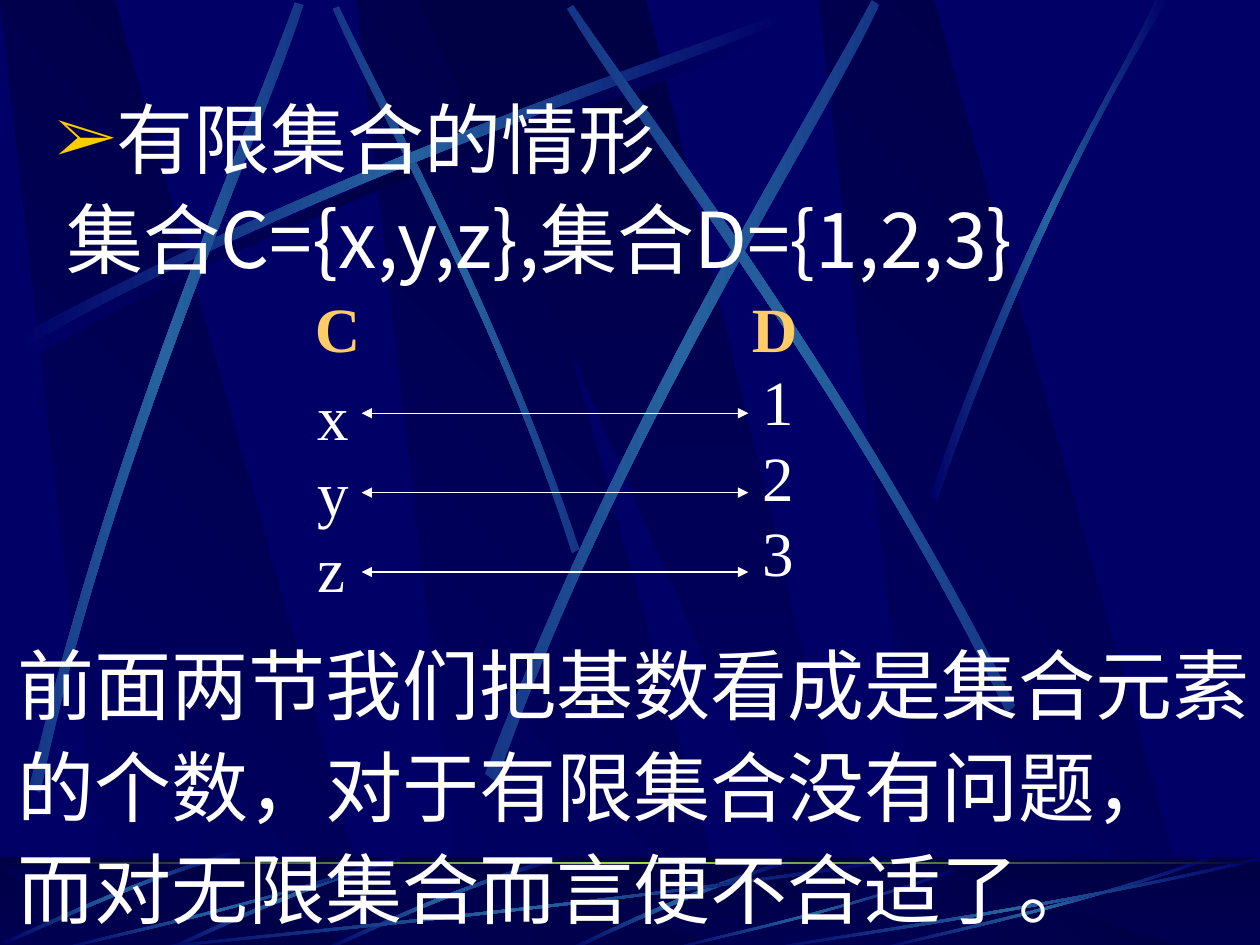
import pptx
import pptx.dml.color
import pptx.enum.shapes
import pptx.enum.text
import pptx.oxml
import pptx.oxml.ns
import pptx.util

theme = {
    "night": "000066", "dark": "000044", "beam": "2663A0", "beam_end": "153686",
    "horizon": "9CE157", "white": "FFFFFF", "gold": "FFCC66", "bullet": "FFCC00",
    "chinese": "Noto Sans CJK SC", "latin": "Times New Roman",
    "body": 44, "diagram": 36,
}
NIGHT, DARK, BEAM = theme["night"], theme["dark"], theme["beam"]
NAMESPACE = pptx.oxml.ns.nsdecls("a")

presentation = pptx.Presentation()
presentation.slide_width = pptx.util.Inches(10)
presentation.slide_height = pptx.util.Inches(7.5)
slide = presentation.slides.add_slide(presentation.slide_layouts[6])
slide.background.fill.solid()
slide.background.fill.fore_color.rgb = pptx.dml.color.RGBColor.from_string(NIGHT)

# Grid: 10 columns by 7.5 rows
column = presentation.slide_width / 10
row = presentation.slide_height / 7.5


def paint(shape, colors, angle):
    """Fill a shape with evenly spaced gradient colours, without outline."""
    shape.shadow.inherit = False
    shape.line.fill.background()
    shape.fill.gradient()
    stops = "".join(
        f'<a:gs pos="{100000 * i // (len(colors) - 1)}"><a:srgbClr val="{color}"/></a:gs>'
        for i, color in enumerate(colors))
    properties = shape.element.spPr
    properties.replace(
        properties.find(pptx.oxml.ns.qn("a:gradFill")),
        pptx.oxml.parse_xml(
            f'<a:gradFill {NAMESPACE} rotWithShape="1"><a:gsLst>{stops}</a:gsLst>'
            f'<a:lin ang="{int(angle * 60000)}" scaled="0"/></a:gradFill>'))


def add_outline(points, colors, angle=0, curved=False):
    """Draw a closed outline; a curved one has two cubic edges of four points."""
    vertices = [(x * column, y * row) for x, y in points]
    builder = slide.shapes.build_freeform(*vertices[0], scale=1.0)
    builder.add_line_segments(vertices[1:], close=True)
    shape = builder.convert_to_shape()
    if curved:
        segments = shape.element.findall(".//" + pptx.oxml.ns.qn("a:lnTo"))
        for edge in (segments[:3], segments[4:7]):
            curve = pptx.oxml.parse_xml(f"<a:cubicBezTo {NAMESPACE}/>")
            edge[0].addprevious(curve)
            for segment in edge:
                curve.append(segment[0])
                segment.getparent().remove(segment)
    paint(shape, colors, angle)


# Light beams across the sky: outline and colour of the ends
long_beam = [(0.14, 2.67), (2.78, 1.25), (5.18, 0.51), (6.2, 0.1),
             (6.23, 0.16), (5.22, 0.61), (2.48, 1.43), (0.17, 2.77)]
sky_beams = [
    ([(4.6, 4.36), (3.91, 2.34), (3.02, 0.77), (2.69, 0.05),
      (2.64, 0.07), (2.95, 0.79), (3.98, 2.58), (4.54, 4.39)], theme["beam_end"]),
    (long_beam, NIGHT),
    ([(0.23, 6.25), (0.93, 3.34), (1.97, 1.05), (2.34, 0.02),
      (2.41, 0.04), (2.07, 1.09), (0.86, 3.68), (0.32, 6.29)], theme["beam_end"]),
    ([(3.85, 6.14), (4.98, 3.2), (6.38, 1.02), (6.92, 0),
      (6.98, 0.04), (6.49, 1.08), (4.86, 3.55), (3.94, 6.21)], theme["beam_end"]),
    ([(8.06, 5.6), (6.7, 2.93), (5.16, 0.95), (4.55, 0.04),
      (4.5, 0.07), (5.07, 1.01), (6.85, 3.25), (7.99, 5.66)], theme["beam_end"]),
    ([(7.38, 3.94), (8.14, 1.73), (8.88, 0.66), (9.17, 0),
      (9.27, 0), (8.36, 1.45), (7.69, 3.22), (7.44, 3.97)], NIGHT),
]

# Slanted bands, first over the sky and then over the floor
rectangle = pptx.enum.shapes.MSO_SHAPE.RECTANGLE
floor_box = (0, 6.8 * row, 10 * column, 0.75 * row)
for top, bottom in ((0, 7.52), (6.88, 7.55)):
    if top:
        paint(slide.shapes.add_shape(rectangle, *floor_box), [DARK, NIGHT], 90)
    for left in (2.83, 0, 6.5):
        add_outline([(left + 0.86, bottom), (left + 3.02, bottom), (left + 0.91, top), (left, top)],
                    [NIGHT, DARK], 315)
    add_outline([(3.33, top), (6.58, bottom), (6.94, bottom), (5.13, top)], [DARK, NIGHT], 90)
    if not top:
        add_outline([(x + 0.06, y + 0.08) for x, y in long_beam], [NIGHT, DARK, NIGHT], curved=True)
        for points, end_color in sky_beams:
            add_outline(points, [end_color, BEAM, end_color], curved=True)

# Half-transparent tint over the floor
tint = slide.shapes.add_shape(rectangle, *floor_box)
tint.shadow.inherit = False
tint.line.fill.background()
tint.fill.solid()
tint.fill.fore_color.rgb = pptx.dml.color.RGBColor.from_string(DARK)
tint.element.spPr.find(".//" + pptx.oxml.ns.qn("a:srgbClr")).append(
    pptx.oxml.parse_xml(f'<a:alpha {NAMESPACE} val="50000"/>'))

# Floor beams: one single, three shifted, five stretched from one profile
short_beam = [(4.42, 6.8), (3.55, 7.05), (2.87, 7.4), (2.56, 7.53),
              (2.57, 7.55), (2.88, 7.43), (3.65, 7.03), (4.44, 6.83)]
profile = [(1, 0.04), (0.57, 0.57), (0.17, 0.85), (0.01, 1),
           (0, 0.99), (0.17, 0.81), (0.62, 0.51), (1, 0)]
floor_beams = [[(6.27, 6.82), (5.37, 7.09), (4.77, 7.42), (4.48, 7.54),
                (4.53, 7.55), (4.9, 7.37), (5.71, 7), (6.28, 6.85)]]
for shift, lift in ((0, 0), (1.25, 0), (2.55, 0.05)):
    floor_beams.append([(x - shift, y - lift) for x, y in short_beam])
for left, width, height in ((1, 6.17, 0.75), (0.42, 2.67, 0.75), (5.27, 2.31, 0.66),
                            (6.92, 2.67, 0.75), (6, 4, 0.75)):
    floor_beams.append([(left + x * width, 7.55 - height + y * height) for x, y in profile])
for points in floor_beams:
    add_outline(points, [NIGHT, BEAM, NIGHT], curved=True)

# Horizon line
horizon = slide.shapes.add_shape(rectangle, 0, 6.84 * row, 10 * column, 0.02 * row)
paint(horizon, [DARK, theme["horizon"], DARK], 0)

# Texts: box, lines, paragraph format, font format, colour, bullet
chinese = {"name": theme["chinese"], "size": pptx.util.Pt(theme["body"])}
letters = {"name": theme["latin"], "size": pptx.util.Pt(theme["diagram"])}
heading = {**letters, "bold": True}
tight = {"line_spacing": 0.9, "space_before": pptx.util.Pt(11)}
texts = [
    ((0.43, 1.47, 9.06, 4.65), ["集合C={x,y,z},集合D={1,2,3}"], {}, chinese, "white", False),
    ((0.35, 0.76, 9.42, 1.01), ["有限集合的情形"], tight, chinese, "white", True),
    ((2.42, 2.95, 0.45, 2.5), ["x", "y", "z"], {}, letters, "white", False),
    ((5.95, 2.83, 0.45, 2.5), ["1", "2", "3"], {}, letters, "white", False),
    ((2.4, 2.25, 0.56, 0.7), ["C"], {}, heading, "gold", False),
    ((5.87, 2.25, 0.56, 0.7), ["D"], {}, heading, "gold", False),
    ((0.04, 5.09, 15.2, 2.39),
     ["前面两节我们把基数看成是集合元素", "的个数，对于有限集合没有问题，", "而对无限集合而言便不合适了。"],
     tight, chinese, "white", False),
]
for (left, top, width, height), lines, spacing, font, color, bulleted in texts:
    box = slide.shapes.add_textbox(left * column, top * row, width * column, height * row)
    frame = box.text_frame
    frame.word_wrap = width > 1
    for number, line in enumerate(lines):
        paragraph = frame.paragraphs[0] if number == 0 else frame.add_paragraph()
        for name, value in spacing.items():
            if number or name != "space_before":
                setattr(paragraph, name, value)
        if bulleted:
            properties = paragraph._p.get_or_add_pPr()
            properties.set("marL", str(pptx.util.Inches(0.38)))
            properties.set("indent", str(-pptx.util.Inches(0.38)))
            for element in (f'<a:buClr {NAMESPACE}><a:srgbClr val="{theme["bullet"]}"/></a:buClr>',
                            f'<a:buSzPct {NAMESPACE} val="85000"/>',
                            f'<a:buFont {NAMESPACE} typeface="{theme["latin"]}"/>',
                            f'<a:buChar {NAMESPACE} char="➢"/>'):
                properties.append(pptx.oxml.parse_xml(element))
        run = paragraph.add_run()
        run.text = line
        for name, value in font.items():
            setattr(run.font, name, value)
        run.font.color.rgb = pptx.dml.color.RGBColor.from_string(theme[color])
        run._r.get_or_add_rPr().append(
            pptx.oxml.parse_xml(f'<a:ea {NAMESPACE} typeface="{font["name"]}"/>'))

# Double arrows pairing the two sets
for number in range(3):
    height = (3.28 + 0.63 * number) * row
    arrow = slide.shapes.add_connector(
        pptx.enum.shapes.MSO_CONNECTOR.STRAIGHT, 2.87 * column, height, 5.94 * column, height)
    arrow.line.width = pptx.util.Pt(0.75)
    arrow.line.color.rgb = pptx.dml.color.RGBColor.from_string(theme["white"])
    for end in ("headEnd", "tailEnd"):
        arrow.line._get_or_add_ln().append(
            pptx.oxml.parse_xml(f'<a:{end} {NAMESPACE} type="triangle"/>'))
    arrow.element.spPr.append(pptx.oxml.parse_xml(f"<a:effectLst {NAMESPACE}/>"))

presentation.save("out.pptx")
